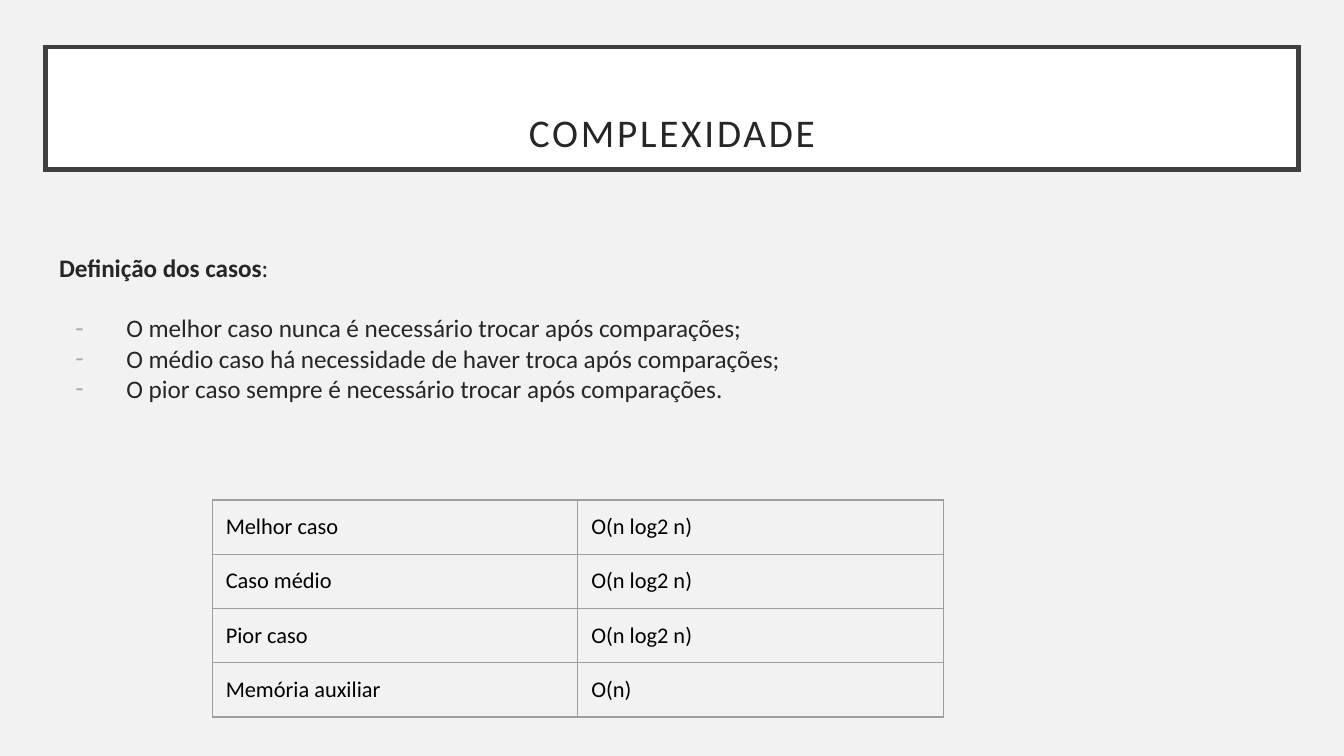
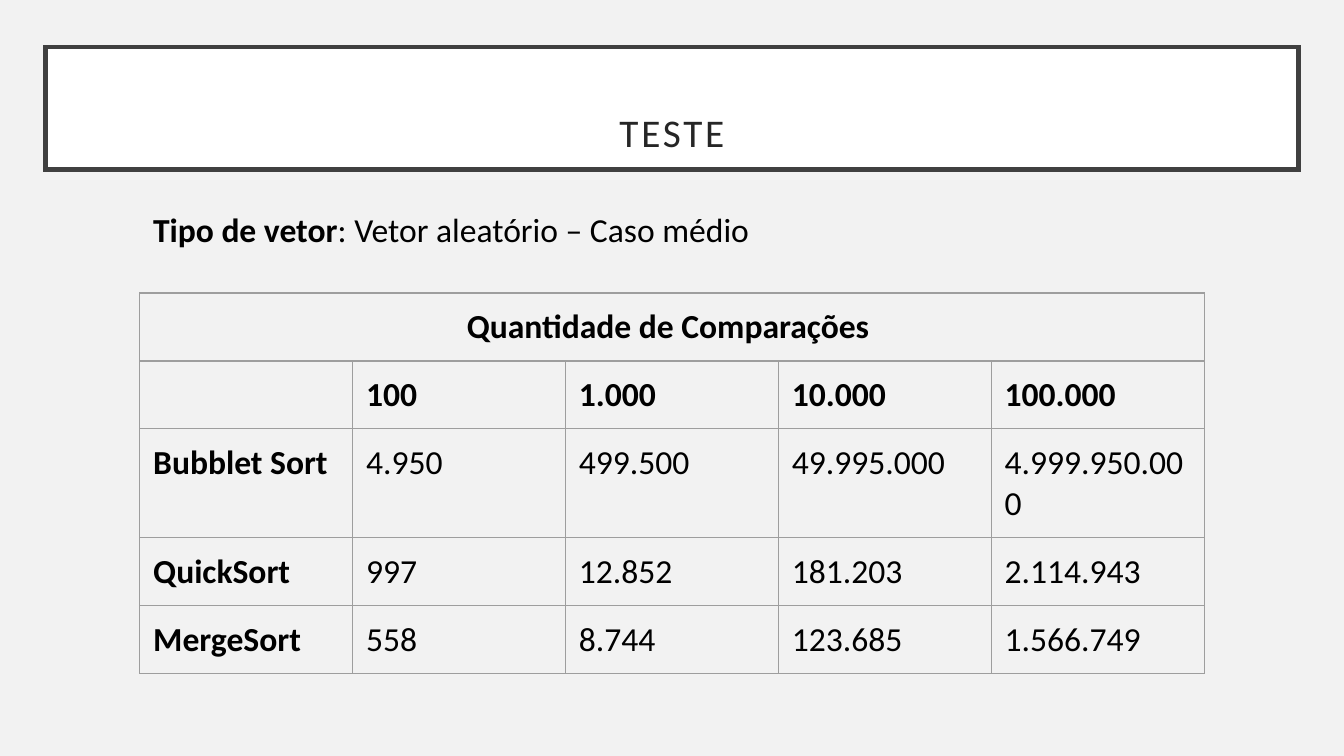
from lxml.etree import SubElement
from pptx import Presentation
from pptx.dml.color import RGBColor
from pptx.enum.text import MSO_ANCHOR, MSO_AUTO_SIZE, PP_ALIGN
from pptx.oxml.ns import qn
from pptx.util import Inches, Pt

COLORS = {
    "background": "F2F2F2",
    "title_fill": "FFFFFF",
    "title_line": "404040",
    "heading": "262626",
    "text": "000000",
    "bullet": "9BAFB5",
    "border": "9E9E9E",
}
FONT = "Calibri"
MARGIN = Inches(0.1)
LEFT, WIDTH = 0.34, 9.32
TITLE_ONLY, TITLE_AND_CONTENT = 5, 1


def rgb(name):
    return RGBColor.from_string(COLORS[name])


def add_solid_fill(parent, name):
    fill = SubElement(parent, qn("a:solidFill"))
    SubElement(fill, qn("a:srgbClr"), val=COLORS[name])


class Deck:
    def __init__(self):
        self.presentation = Presentation()
        # Widescreen, 16 to 9
        self.presentation.slide_width = Inches(10)
        self.presentation.slide_height = Inches(10) * 9 // 16
        background = self.presentation.slide_master.background.fill
        background.solid()
        background.fore_color.rgb = rgb("background")
        self.slide = None

    # Text
    def style(self, paragraph, size, color, bold=None):
        font = paragraph.font
        font.name, font.size, font.bold = FONT, Pt(size), bold
        font.color.rgb = rgb(color)

    def place(self, shape, left, top, width, height):
        shape.left, shape.top = Inches(left), Inches(top)
        shape.width, shape.height = Inches(width), Inches(height)

    def prepare_frame(self, frame, anchor=MSO_ANCHOR.TOP):
        frame.word_wrap = True
        frame.auto_size = MSO_AUTO_SIZE.NONE
        frame.vertical_anchor = anchor
        frame.margin_left = frame.margin_right = MARGIN
        frame.margin_top = frame.margin_bottom = MARGIN

    def write_label(self, paragraph, label, rest, size, color):
        self.style(paragraph, size, color)
        for text, bold in ((label, True), (rest, False)):
            run = paragraph.add_run()
            run.text = text
            run.font.bold = bold

    # Slide with its framed title
    def add_slide(self, layout, title):
        layouts = self.presentation.slide_layouts
        self.slide = self.presentation.slides.add_slide(layouts[layout])
        shape = self.slide.shapes.title
        self.place(shape, LEFT, 0.35, WIDTH, 0.91)
        shape.fill.solid()
        shape.fill.fore_color.rgb = rgb("title_fill")
        shape.line.color.rgb = rgb("title_line")
        shape.line.width = Pt(2.5)
        outline = shape._element.spPr.find(qn("a:ln"))
        SubElement(outline, qn("a:miter"), lim="800000")
        self.prepare_frame(shape.text_frame, MSO_ANCHOR.BOTTOM)
        paragraph = shape.text_frame.paragraphs[0]
        paragraph.alignment = PP_ALIGN.CENTER
        paragraph.line_spacing = 0.9
        self.style(paragraph, 21, "heading")
        run = paragraph.add_run()
        run.text = title
        run._r.get_or_add_rPr().set("spc", "150")

    # Body placeholder: a label line and a dashed list
    def add_list(self, label, items, box):
        shape = self.slide.placeholders[1]
        self.place(shape, *box)
        frame = shape.text_frame
        self.prepare_frame(frame)
        heading = frame.paragraphs[0]
        self.write_label(heading, label, ":", 13.5, "heading")
        heading.space_before = Pt(0)
        self.set_bullet(heading)
        for index, item in enumerate(items):
            paragraph = frame.add_paragraph()
            paragraph.text = item
            paragraph.space_before = Pt(0 if index else 16)
            self.style(paragraph, 13.5, "heading")
            self.set_bullet(paragraph, "-", 0.5, -0.38)

    def set_bullet(self, paragraph, character=None, margin=0, indent=0):
        properties = paragraph._p.get_or_add_pPr()
        properties.set("marL", str(Inches(margin)))
        properties.set("indent", str(Inches(indent)))
        # The default run properties must stay last
        defaults = properties.find(qn("a:defRPr"))
        if character:
            color = SubElement(properties, qn("a:buClr"))
            SubElement(color, qn("a:srgbClr"), val=COLORS["bullet"])
            SubElement(properties, qn("a:buChar"), char=character)
        else:
            SubElement(properties, qn("a:buNone"))
        if defaults is not None:
            properties.append(defaults)

    def add_label(self, label, rest, box):
        shape = self.slide.shapes.add_textbox(*map(Inches, box))
        self.prepare_frame(shape.text_frame)
        paragraph = shape.text_frame.paragraphs[0]
        paragraph.line_spacing = 1.15
        paragraph.space_after = Pt(16)
        self.write_label(paragraph, label, rest, 18, "text")

    # Table
    def add_table(self, rows, box, size, header_rows=0, bold_first_column=False):
        frame = self.slide.shapes.add_table(len(rows), len(rows[-1]), *map(Inches, box))
        table = frame.table
        table.first_row = table.horz_banding = False
        for row_index, row in enumerate(rows):
            for column_index in range(len(table.columns)):
                cell = table.cell(row_index, column_index)
                self.format_cell(cell)
                if column_index < len(row):
                    paragraph = cell.text_frame.paragraphs[0]
                    paragraph.text = row[column_index]
                    bold = row_index < header_rows or (bold_first_column and column_index == 0)
                    self.style(paragraph, size, "text", bold)
        return table

    def format_cell(self, cell):
        cell.margin_left = cell.margin_right = MARGIN
        cell.margin_top = cell.margin_bottom = MARGIN
        properties = cell._tc.get_or_add_tcPr()
        for side in ("lnL", "lnR", "lnT", "lnB"):
            line = SubElement(properties, qn(f"a:{side}"), w=str(Pt(0.75)))
            add_solid_fill(line, "border")
        cell.fill.background()


def main():
    deck = Deck()

    # Complexity
    deck.add_slide(TITLE_AND_CONTENT, "COMPLEXIDADE")
    deck.add_list(
        "Definição dos casos",
        [
            "O melhor caso nunca é necessário trocar após comparações;",
            "O médio caso há necessidade de haver troca após comparações;",
            "O pior caso sempre é necessário trocar após comparações.",
        ],
        (LEFT, 1.78, WIDTH, 1.94),
    )
    complexity = [
        ("Melhor caso", "O(n log2 n)"),
        ("Caso médio", "O(n log2 n)"),
        ("Pior caso", "O(n log2 n)"),
        ("Memória auxiliar", "O(n)"),
    ]
    deck.add_table(complexity, (1.58, 3.72, 5.44, 1.6), 12)

    # Test results
    deck.add_slide(TITLE_ONLY, "TESTE")
    comparisons = [
        ("Quantidade de Comparações ",),
        ("", "100", "1.000", "10.000", "100.000"),
        ("Bubblet Sort", "4.950", "499.500", "49.995.000", "4.999.950.000"),
        ("QuickSort", "997", "12.852", "181.203", "2.114.943"),
        ("MergeSort", "558", "8.744", "123.685", "1.566.749"),
    ]
    table = deck.add_table(comparisons, (1.04, 2.18, 7.92, 2.12), 18, 2, True)
    heading = table.cell(0, 0)
    heading.merge(table.cell(0, 4))
    heading.text_frame.paragraphs[0].alignment = PP_ALIGN.CENTER
    deck.add_label("Tipo de vetor", ": Vetor aleatório – Caso médio", (1.04, 1.41, 7.92, 0.63))

    deck.presentation.save("out.pptx")


if __name__ == "__main__":
    main()
